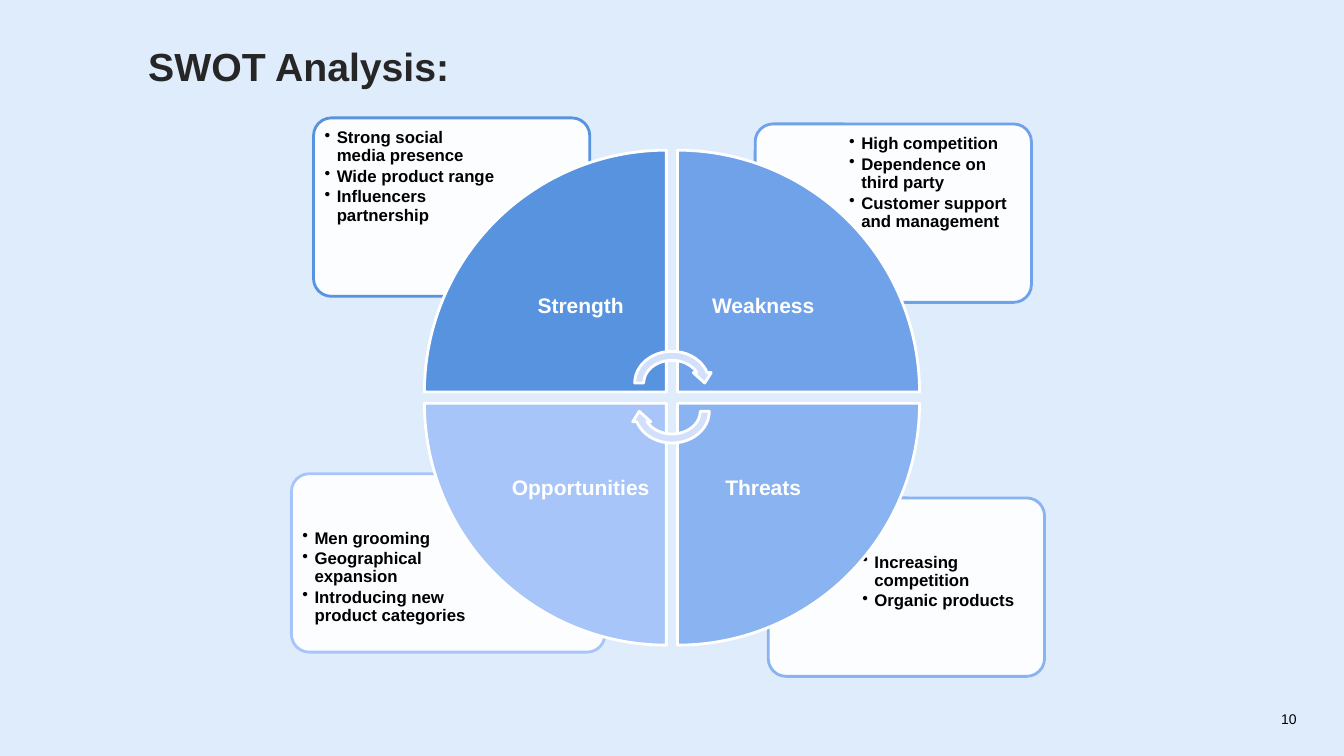
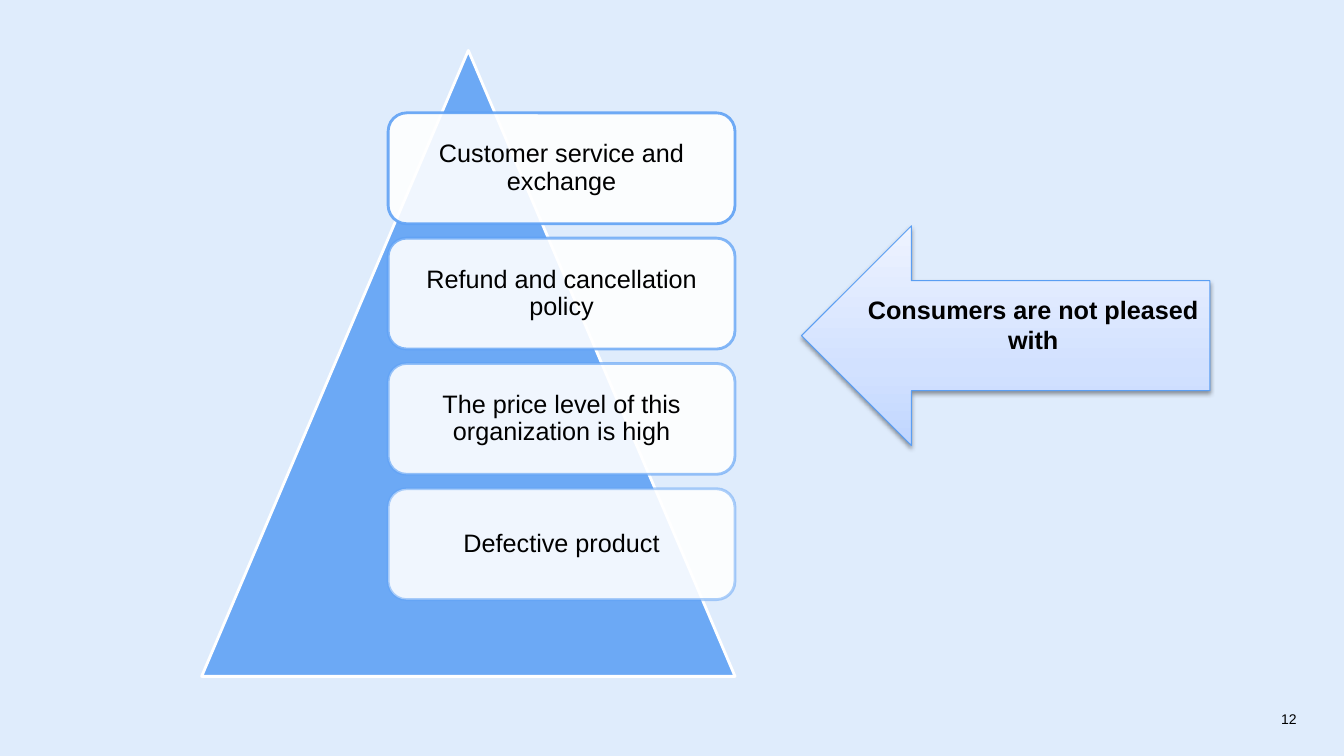
"""Build a SWOT wheel slide and a consumer complaints slide."""
from lxml import etree
from pptx import Presentation
from pptx.dml.color import RGBColor
from pptx.enum.shapes import MSO_SHAPE
from pptx.enum.text import MSO_ANCHOR, PP_ALIGN
from pptx.oxml.ns import qn
from pptx.util import Inches, Pt

TOP, MIDDLE = MSO_ANCHOR.TOP, MSO_ANCHOR.MIDDLE
LEFT, CENTER, RIGHT = PP_ALIGN.LEFT, PP_ALIGN.CENTER, PP_ALIGN.RIGHT
ROUNDED, WEDGE = MSO_SHAPE.ROUNDED_RECTANGLE, MSO_SHAPE.PIE_WEDGE
CYCLE_ARROW, LEFT_ARROW = MSO_SHAPE.CIRCULAR_ARROW, MSO_SHAPE.LEFT_ARROW
TRIANGLE = MSO_SHAPE.ISOSCELES_TRIANGLE

FONT = "Arial"
COLORS = {
    "background": "DFECFC", "title": "262626", "black": "000000", "white": "FFFFFF",
    "strength": "5793DE", "weakness": "70A2E9", "threats": "8AB3F2",
    "opportunities": "A7C5F8", "cycle": "D2E0FB", "pyramid": "60A2F5",
    "arrow_line": "5A9EF3",
}
ARROW_GRADIENT = [(0, "C0D6FF"), (35, "D2E1FF"), (100, "EEF3FF")]

SWOT_TITLE = "SWOT Analysis:"
QUADRANTS = [
    ("Strength", "strength", (3.11, 1.17, 2.74),
     ["Strong social media presence", "Wide product range", "Influencers partnership"]),
    ("Weakness", "weakness", (7.49, 1.23, 2.74),
     ["High competition", "Dependence on third party",
      "Customer support and management"]),
    ("Threats", "threats", (7.62, 4.94, 2.74),
     ["Increasing competition", "Organic products"]),
    ("Opportunities", "opportunities", (2.89, 4.7, 3.11),
     ["Men grooming", "Geographical expansion", "Introducing new product categories"]),
]
COMPLAINTS = [
    ("Customer service and exchange", 90),
    ("Refund and cancellation policy", 77),
    ("The price level of this organization is high", 63),
    ("Defective product", 50),
]
COMPLAINT_LEAD = "Consumers are not pleased with"

CARD_H, CARD_PAD = 1.77, 0.04
WHEEL_X, WHEEL_Y, WEDGE_SIZE, WEDGE_STEP, LABEL_SIZE = 4.21, 1.49, 2.4, 2.51, 1.7


def rgb(name):
    return RGBColor.from_string(COLORS[name])


def set_alpha(element, percent):
    color = element.find(".//" + qn("a:srgbClr"))
    etree.SubElement(color, qn("a:alpha")).set("val", str(percent * 1000))


def add_shape(s, kind, box, fill, line, fill_alpha=100, line_alpha=100, width=2, rotation=0):
    sp = s.shapes.add_shape(kind, *map(Inches, box))
    sp.shadow.inherit = False
    sp.rotation = rotation
    sp.fill.solid()
    sp.fill.fore_color.rgb = rgb(fill)
    sp.line.color.rgb = rgb(line)
    sp.line.width = Pt(width)
    spPr = sp.element.spPr
    if fill_alpha < 100:
        set_alpha(spPr.find(qn("a:solidFill")), fill_alpha)
    if line_alpha < 100:
        set_alpha(spPr.find(qn("a:ln")), line_alpha)
    return sp


def add_bullet(p):
    pPr = p._p.get_or_add_pPr()
    pPr.set("marL", str(Inches(0.12)))
    pPr.set("indent", str(-Inches(0.12)))
    color = etree.SubElement(pPr, qn("a:buClr"))
    etree.SubElement(color, qn("a:srgbClr")).set("val", COLORS["black"])
    etree.SubElement(pPr, qn("a:buChar")).set("char", "•")


def write(sp, lines, size, color="black", bold=False, align=LEFT, anchor=TOP,
          inset=0, spacing=0.9, bullets=False):
    tf = sp.text_frame
    tf.word_wrap = True
    tf.vertical_anchor = anchor
    tf.margin_left = tf.margin_top = tf.margin_right = tf.margin_bottom = Inches(inset)
    for i, line in enumerate(lines):
        p = tf.add_paragraph() if i else tf.paragraphs[0]
        p.alignment = align
        p.line_spacing = spacing
        if bullets:
            p.space_after = Pt(size * 0.15)
            add_bullet(p)
        r = p.add_run()
        r.text = line
        r.font.name, r.font.size, r.font.bold = FONT, Pt(size), bold
        r.font.color.rgb = rgb(color)


def add_text(s, box, lines, size, **style):
    write(s.shapes.add_textbox(*map(Inches, box)), lines, size, **style)


def add_page_number(s, number):
    add_text(s, (11.94, 6.98, 0.92, 0.31), [str(number)], 10,
             align=RIGHT, anchor=MIDDLE, spacing=1.0)


def add_title(s, text):
    sp = s.shapes.title
    sp.left, sp.top, sp.width, sp.height = map(Inches, (1.47, 0.47, 10.91, 0.48))
    write(sp, [text], 28, color="title", bold=True)


def build_swot(prs):
    s = prs.slides.add_slide(prs.slide_layouts[5])
    add_title(s, SWOT_TITLE)
    add_page_number(s, 10)
    cells = [(0, 0), (1, 0), (1, 1), (0, 1)]
    for (col, row), (_, color, (x, y, w), bullets) in zip(cells, QUADRANTS):
        card = add_shape(s, ROUNDED, (x, y, w, CARD_H), "white", color, fill_alpha=90)
        card.adjustments[0] = 0.1
        box = (x + col * 0.3 * w + CARD_PAD, y + row * 0.25 * CARD_H + CARD_PAD,
               0.7 * w - 2 * CARD_PAD, 0.75 * CARD_H - 2 * CARD_PAD)
        add_text(s, box, bullets, 12, bold=True, inset=0.07, bullets=True)
    for i, ((col, row), (label, color, _, _)) in enumerate(zip(cells, QUADRANTS)):
        x, y = WHEEL_X + col * WEDGE_STEP, WHEEL_Y + row * WEDGE_STEP
        add_shape(s, WEDGE, (x, y, WEDGE_SIZE, WEDGE_SIZE), color, "white", rotation=90 * i)
        shift = WEDGE_SIZE - LABEL_SIZE
        box = (x + (1 - col) * shift, y + (1 - row) * shift, LABEL_SIZE, LABEL_SIZE)
        add_text(s, box, [label], 15, color="white", bold=True,
                 align=CENTER, anchor=MIDDLE, inset=0.12)
    for y, rotation in [(3.44, 0), (3.72, 180)]:
        add_shape(s, CYCLE_ARROW, (6.25, y, 0.83, 0.72), "cycle", "white", rotation=rotation)


def add_lead_arrow(s):
    sp = add_shape(s, LEFT_ARROW, (7.95, 2.24, 4.05, 2.18), "white", "arrow_line", width=0.75)
    sp.fill.gradient()
    sp.fill.gradient_angle = 90
    spPr = sp.element.spPr
    stops = spPr.find(".//" + qn("a:gsLst"))
    for stop in list(stops):
        stops.remove(stop)
    for position, color in ARROW_GRADIENT:
        stop = etree.SubElement(stops, qn("a:gs"), pos=str(position * 1000))
        etree.SubElement(stop, qn("a:srgbClr"), val=color)
    shadow = etree.SubElement(spPr.find(qn("a:effectLst")), qn("a:outerShdw"),
                              blurRad=str(Pt(3.1)), dist=str(Pt(1.6)),
                              dir="5400000", rotWithShape="0")
    etree.SubElement(shadow, qn("a:srgbClr"), val=COLORS["black"])
    set_alpha(shadow, 38)
    write(sp, [COMPLAINT_LEAD], 18, bold=True, align=CENTER, anchor=MIDDLE,
          inset=0.05, spacing=1.0)
    tf = sp.text_frame
    tf.margin_left = tf.margin_right = Inches(0.1)
    tf.margin_bottom = Inches(0.27)


def build_complaints(prs):
    s = prs.slides.add_slide(prs.slide_layouts[6])
    add_page_number(s, 12)
    add_shape(s, TRIANGLE, (2, 0.5, 5.29, 6.21), "pyramid", "white", fill_alpha=90)
    for i, (text, line_alpha) in enumerate(COMPLAINTS):
        box = (3.85, 1.12 + i * 1.243, 3.44, 1.1)
        sp = add_shape(s, ROUNDED, box, "white", "pyramid",
                       fill_alpha=90, line_alpha=line_alpha)
        write(sp, [text], 18, align=CENTER, anchor=MIDDLE, inset=0.07)
    add_lead_arrow(s)


def main():
    prs = Presentation()
    prs.slide_width, prs.slide_height = Inches(13.33), Inches(7.5)
    fill = prs.slide_master.background.fill
    fill.solid()
    fill.fore_color.rgb = rgb("background")
    build_swot(prs)
    build_complaints(prs)
    prs.save("out.pptx")


if __name__ == "__main__":
    main()
